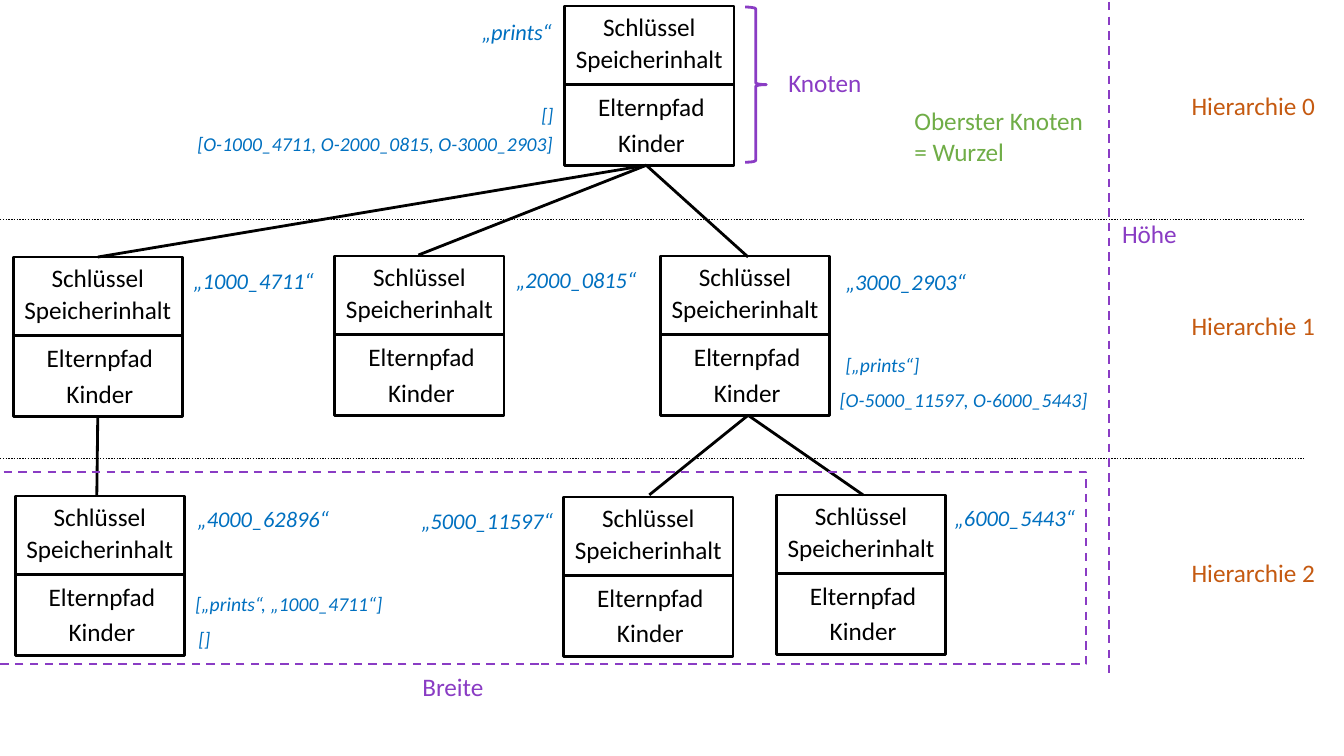
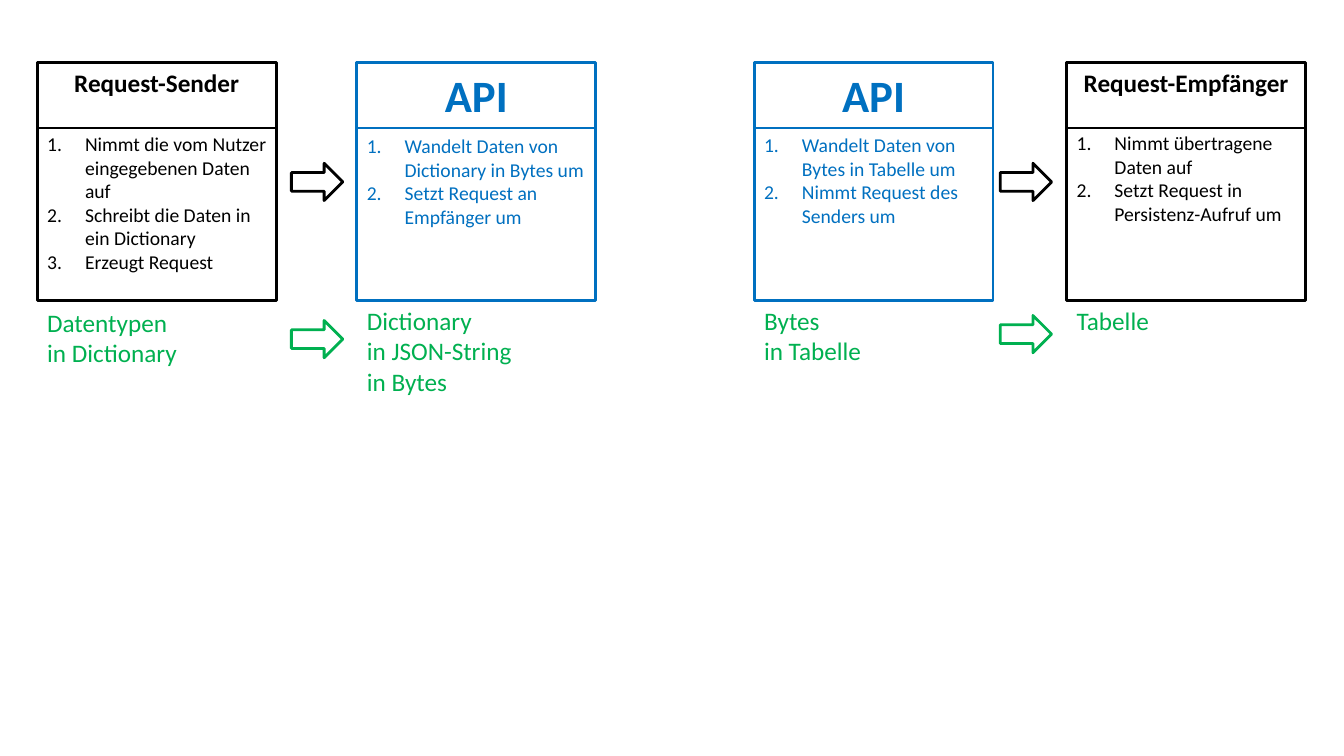
from dataclasses import dataclass

from lxml.etree import SubElement
from pptx import Presentation
from pptx.dml.color import RGBColor
from pptx.enum.dml import MSO_LINE
from pptx.enum.shapes import MSO_CONNECTOR, MSO_SHAPE
from pptx.enum.text import MSO_AUTO_SIZE, PP_ALIGN
from pptx.oxml.ns import qn
from pptx.slide import Slide
from pptx.util import Inches, Pt

# Shared look
FONT = "Calibri"
BLACK, BLUE, PURPLE = "000000", "0070C0", "8A3CC4"
ORANGE, LIGHT_GREEN, GREEN = "C55A11", "70AD47", "00B050"
Point = tuple[float, float]


@dataclass
class Label:
    left: float
    top: float
    width: float
    height: float
    lines: list[str]
    color: str = BLACK
    size: float = 18
    bold: bool = False
    italic: bool = False
    centered: bool = False
    wrap: bool = False
    numbered: bool = False


@dataclass
class Node:
    left: float
    top: float


@dataclass
class Component:
    left: float
    heading: str
    heading_size: float
    heading_height: float
    color: str
    steps: list[str]
    steps_top: float
    steps_height: float
    formats: list[str]
    formats_top: float
    formats_width: float
    formats_height: float


def rgb(color: str) -> RGBColor:
    return RGBColor.from_string(color)


def style_line(line, color: str, weight: float, dash=None) -> None:
    line.color.rgb = rgb(color)
    line.width = Pt(weight)
    if dash is not None:
        line.dash_style = dash


def draw_line(slide: Slide, start: Point, end: Point, color: str = BLACK,
              weight: float = 2, dash=None) -> None:
    ends = [Inches(value) for value in (*start, *end)]
    connector = slide.shapes.add_connector(MSO_CONNECTOR.STRAIGHT, *ends)
    style_line(connector.line, color, weight, dash)
    SubElement(connector._element.spPr, qn("a:effectLst"))


def draw_outline(slide: Slide, kind: MSO_SHAPE, left: float, top: float, width: float,
                 height: float, color: str = BLACK, weight: float = 2, dash=None) -> None:
    box = [Inches(value) for value in (left, top, width, height)]
    outline = slide.shapes.add_shape(kind, *box)
    outline.shadow.inherit = False
    outline.fill.background()
    style_line(outline.line, color, weight, dash)


def number_paragraph(paragraph) -> None:
    properties = paragraph._p.get_or_add_pPr()
    properties.set("marL", str(Inches(0.375)))
    properties.set("indent", str(Inches(-0.375)))
    SubElement(properties, qn("a:buFont"), typeface="+mj-lt")
    SubElement(properties, qn("a:buAutoNum"), type="arabicPeriod")


def draw_label(slide: Slide, label: Label) -> None:
    box = [Inches(value) for value in (label.left, label.top, label.width, label.height)]
    frame = slide.shapes.add_textbox(*box).text_frame
    frame.word_wrap = label.wrap
    frame.auto_size = MSO_AUTO_SIZE.SHAPE_TO_FIT_TEXT
    frame.text = "\n".join(label.lines)
    for paragraph in frame.paragraphs:
        paragraph.alignment = PP_ALIGN.CENTER if label.centered else PP_ALIGN.LEFT
        if label.numbered:
            number_paragraph(paragraph)
        for run in paragraph.runs:
            run.font.name = FONT
            run.font.size = Pt(label.size)
            run.font.bold = label.bold
            run.font.italic = label.italic
            run.font.color.rgb = rgb(label.color)


def draw_divided_box(slide: Slide, left: float, top: float, width: float, height: float,
                     divider: float, color: str = BLACK) -> None:
    draw_outline(slide, MSO_SHAPE.RECTANGLE, left, top, width, height, color)
    draw_line(slide, (left, top + divider), (left + width, top + divider), color)


# Tree slide: node grid
NODE_WIDTH, NODE_HEIGHT, NODE_DIVIDER = 1.68, 1.58, 0.78
NODE_FIELDS = [("Schlüssel", 0, 0), ("Speicherinhalt", 0, 0.32),
               ("Elternpfad", 0.02, 0.8), ("Kinder", 0.02, 1.15)]

NODES = [Node(5.6, 0.06),
         Node(0.13, 2.55), Node(3.32, 2.54), Node(6.55, 2.54),
         Node(0.15, 4.92), Node(5.59, 4.93), Node(7.7, 4.91)]

ROOT_FOOT, THIRD_CHILD_FOOT = (6.41, 1.64), (7.42, 4.12)
BRANCHES = [(ROOT_FOOT, (0.97, 2.55)), (ROOT_FOOT, (4.15, 2.53)),
            (ROOT_FOOT, (7.42, 2.55)), ((0.97, 4.13), (0.96, 4.93)),
            (THIRD_CHILD_FOOT, (6.44, 4.91)), (THIRD_CHILD_FOOT, (8.56, 4.91))]

KEYS = [("„prints“", 4.68, 0.13, 0.91),
        ("„1000_4711“", 1.82, 2.6, 1.41),
        ("„2000_0815“", 5.02, 2.59, 1.41),
        ("„3000_2903“", 8.29, 2.61, 1.41),
        ("„4000_62896“", 1.86, 4.96, 1.52),
        ("„5000_11597“", 4.08, 4.98, 1.52),
        ("„6000_5443“", 9.37, 4.95, 1.41)]

PATHS = [("[]", 5.27, 0.97, 0.32),
         ("[O-1000_4711, O-2000_0815, O-3000_2903]", 1.86, 1.26, 3.76),
         ("[„prints“]", 8.29, 3.45, 0.94),
         ("[O-5000_11597, O-6000_5443]", 8.23, 3.8, 2.68),
         ("[„prints“, „1000_4711“]", 1.84, 5.82, 2.08),
         ("[]", 1.87, 6.17, 0.32)]

TERMS = [Label(11.03, 2.12, 0.75, 0.4, ["Höhe"], PURPLE),
         Label(4.09, 6.61, 0.81, 0.4, ["Breite"], PURPLE),
         Label(7.72, 0.62, 0.94, 0.4, ["Knoten"], PURPLE),
         Label(8.97, 1, 1.89, 0.71, ["Oberster Knoten", "= Wurzel"], LIGHT_GREEN)]


def draw_node(slide: Slide, node: Node) -> None:
    draw_divided_box(slide, node.left, node.top, NODE_WIDTH, NODE_HEIGHT, NODE_DIVIDER)
    for field, shift, drop in NODE_FIELDS:
        draw_label(slide, Label(node.left + shift, node.top + drop, NODE_WIDTH, 0.4,
                                [field], centered=True, wrap=field != "Speicherinhalt"))


def build_tree(slide: Slide) -> None:
    for start, end in BRANCHES:
        draw_line(slide, start, end)

    # Hierarchy levels
    for boundary in (2.18, 4.55):
        draw_line(slide, (0, boundary), (12.93, boundary), BLACK, 1, MSO_LINE.ROUND_DOT)
    for level, top in enumerate((0.85, 3.03, 5.48)):
        draw_label(slide, Label(11.72, top, 1.44, 0.4, [f"Hierarchie {level}"], ORANGE))

    # Height, width and node extent
    draw_line(slide, (11, 0.02), (11, 6.73), PURPLE, 1.5, MSO_LINE.DASH)
    draw_outline(slide, MSO_SHAPE.RECTANGLE, -0.08, 4.68, 10.85, 1.91,
                 PURPLE, 1.5, MSO_LINE.DASH)
    draw_outline(slide, MSO_SHAPE.RIGHT_BRACE, 7.39, 0.07, 0.21, 1.54, PURPLE)
    for term in TERMS:
        draw_label(slide, term)

    # Example values and nodes
    for values, size, height in ((KEYS, 16, 0.37), (PATHS, 14, 0.34)):
        for value, left, top, width in values:
            draw_label(slide, Label(left, top, width, height, [value], BLUE, size,
                                    italic=True))
    for node in NODES:
        draw_node(slide, node)


# Request slide: components and arrows
COMPONENT_TOP, COMPONENT_WIDTH, COMPONENT_HEIGHT = 0.62, 2.37, 2.36
COMPONENTS = [
    Component(0.37, "Request-Sender", 18, 0.4, BLACK,
              ["Nimmt die vom Nutzer eingegebenen Daten auf",
               "Schreibt die Daten in ein Dictionary", "Erzeugt Request"], 1.26, 1.51,
              ["Datentypen", "in Dictionary"], 3, 1.5, 0.71),
    Component(3.54, "API", 32, 0.64, BLUE,
              ["Wandelt Daten von Dictionary in Bytes um",
               "Setzt Request an Empfänger um"], 1.28, 1.04,
              ["Dictionary", "in JSON-String", "in Bytes"], 2.98, 1.65, 1.01),
    Component(7.48, "API", 32, 0.64, BLUE,
              ["Wandelt Daten von Bytes in Tabelle um",
               "Nimmt Request des Senders um"], 1.27, 1.04,
              ["Bytes", "in Tabelle"], 2.98, 1.18, 0.71),
    Component(10.58, "Request-Empfänger", 18, 0.4, BLACK,
              ["Nimmt übertragene Daten auf",
               "Setzt Request in Persistenz-Aufruf um"], 1.25, 1.04,
              ["Tabelle"], 2.98, 0.93, 0.4)]

ARROWS = [(2.89, 1.62, BLACK), (9.92, 1.62, BLACK),
          (2.89, 3.18, GREEN), (9.92, 3.13, GREEN)]


def draw_component(slide: Slide, part: Component) -> None:
    draw_divided_box(slide, part.left, COMPONENT_TOP, COMPONENT_WIDTH, COMPONENT_HEIGHT,
                     0.65, part.color)
    draw_label(slide, Label(part.left, COMPONENT_TOP, COMPONENT_WIDTH, part.heading_height,
                            [part.heading], part.color, part.heading_size, bold=True,
                            centered=True, wrap=True))
    draw_label(slide, Label(part.left, part.steps_top, COMPONENT_WIDTH, part.steps_height,
                            part.steps, part.color, 14, wrap=True, numbered=True))
    draw_label(slide, Label(part.left, part.formats_top, part.formats_width,
                            part.formats_height, part.formats, GREEN))


def build_request(slide: Slide) -> None:
    for component in COMPONENTS:
        draw_component(slide, component)
    for left, top, color in ARROWS:
        draw_outline(slide, MSO_SHAPE.RIGHT_ARROW, left, top, 0.51, 0.37, color)


# Presentation
presentation = Presentation()
presentation.slide_width = Inches(13.33)
presentation.slide_height = Inches(7.5)
blank_layout = presentation.slide_layouts[6]
for build in (build_tree, build_request):
    build(presentation.slides.add_slide(blank_layout))
presentation.save("out.pptx")
